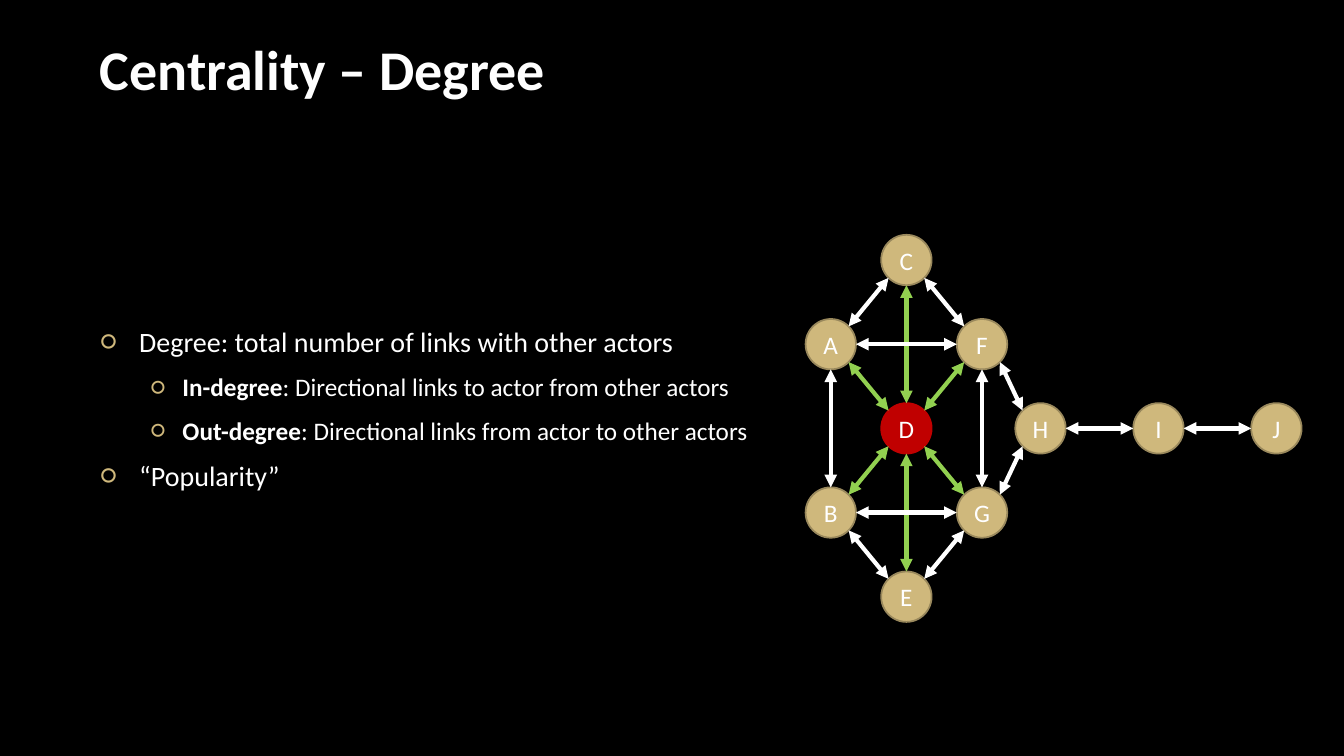
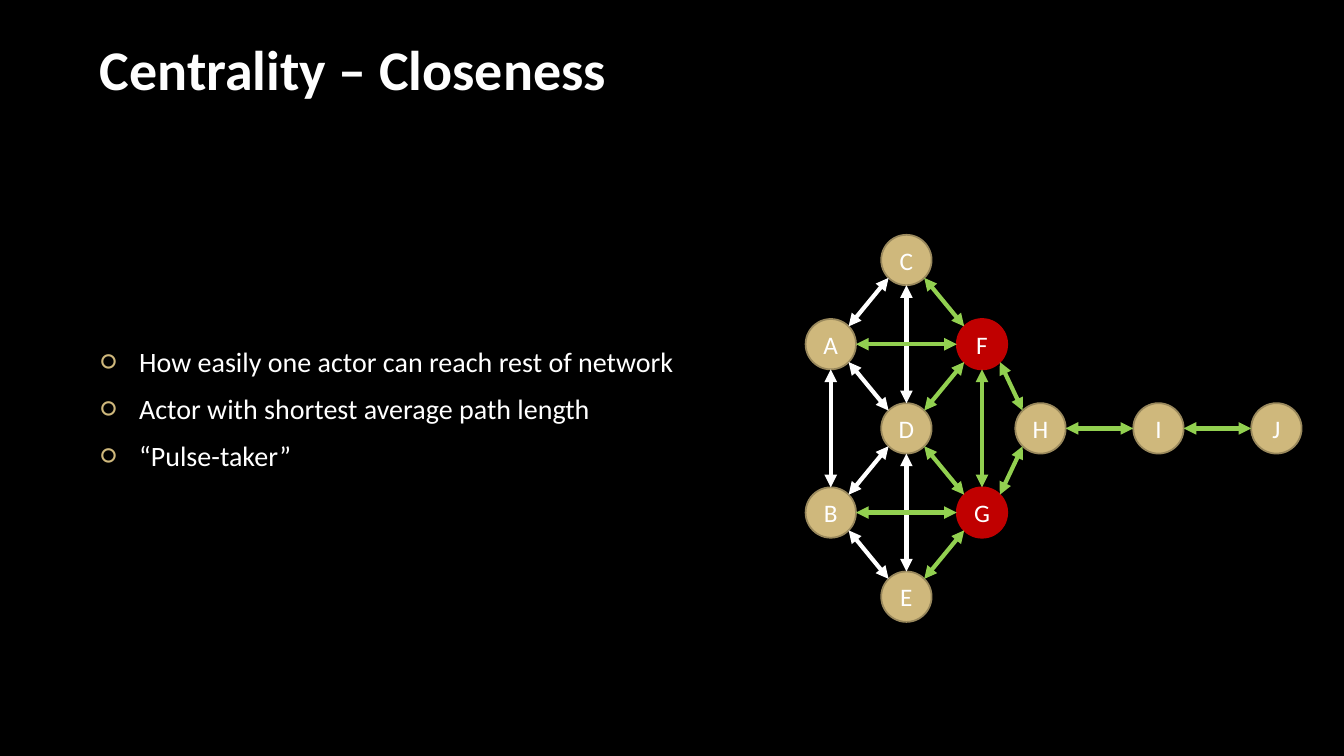
from lxml.etree import SubElement
from pptx import Presentation
from pptx.dml.color import RGBColor
from pptx.enum.shapes import MSO_CONNECTOR, MSO_SHAPE
from pptx.enum.text import MSO_ANCHOR, MSO_AUTO_SIZE, PP_ALIGN
from pptx.oxml.ns import qn
from pptx.util import Inches, Pt
from math import hypot

# Shared look
BACK, TITLE, TEXT = "000000", "FEFEFE", "FFFFFF"
GOLD, RIM, RED, GREEN = "CFB87C", "99885C", "C00000", "92D050"
FONT = "Calibri"
TITLE_BOX = (0.89, 0, 11.56, 1.06)
BODY_BOX = (0.9, 1.55, 7.02, 5)
NET_BOX = (7.99, 2.33, 4.92, 3.84)
LEVELS = [{"size": 20, "left": 0.38, "hang": 0.38},
          {"size": 18, "left": 0.81, "hang": 0.31}]

# Actors: left in inches and row number, inside the network box
SIZE = 0.5
ACTORS = {"A": (0, 1), "D": (0.75, 2), "B": (0, 3), "H": (2.08, 2),
          "I": (3.25, 2), "F": (1.5, 1), "G": (1.5, 3), "E": (0.75, 4),
          "C": (0.75, 0), "J": (4.42, 2)}
LINKS = ("CF CA DA FD DB DG DE DC EB EG HF HG IH JI AB FA FG BG").split()

SLIDES = [
    {"title": "Centrality – Degree",
     "items": [
         (0, "", "Degree: total number of links with other actors"),
         (1, "In-degree", ": Directional links to actor from other actors"),
         (1, "Out-degree", ": Directional links from actor to other actors"),
         (0, "", "“Popularity”")],
     "keys": "D", "extra": ()},
    {"title": "Centrality – Closeness",
     "items": [
         (0, "", "How easily one actor can reach rest of network"),
         (0, "", "Actor with shortest average path length"),
         (0, "", "“Pulse-taker”")],
     "keys": "FG", "extra": ("IH", "JI")},
]


def tint(text):
    return RGBColor.from_string(text)


def style(target, values):
    for name, value in values.items():
        setattr(target, name, value)


def write(para, text, size, color, bold=False):
    run = para.add_run()
    run.text = text
    style(run.font, {"name": FONT, "size": Pt(size), "bold": bold})
    run.font.color.rgb = tint(color)


def place(shape, box):
    names = ("left", "top", "width", "height")
    style(shape, dict(zip(names, map(Inches, box))))


def bullet(para, left, hang):
    props = para._p.get_or_add_pPr()
    props.set("marL", str(Inches(left)))
    props.set("indent", str(-Inches(hang)))
    color = SubElement(props, qn("a:buClr"))
    SubElement(color, qn("a:srgbClr"), val=GOLD)
    SubElement(props, qn("a:buFont"), typeface=FONT)
    SubElement(props, qn("a:buChar"), char="○")


# Title region
def head(slide, text, box):
    shape = slide.shapes.title
    place(shape, box)
    frame = shape.text_frame
    style(frame, {"vertical_anchor": MSO_ANCHOR.BOTTOM, "word_wrap": True,
                  "auto_size": MSO_AUTO_SIZE.NONE})
    para = frame.paragraphs[0]
    para.alignment = PP_ALIGN.LEFT
    write(para, text, 40, TITLE, True)


# List region
def body(slide, items, box):
    shape = slide.placeholders[1]
    place(shape, box)
    frame = shape.text_frame
    style(frame, {"vertical_anchor": MSO_ANCHOR.MIDDLE, "word_wrap": True,
                  "auto_size": MSO_AUTO_SIZE.NONE})
    for i, (level, lead, rest) in enumerate(items):
        para = frame.add_paragraph() if i else frame.paragraphs[0]
        form = LEVELS[level]
        bullet(para, form["left"], form["hang"])
        style(para, {"level": level, "space_before": Pt(3.4 if i else 0),
                     "space_after": Pt(6)})
        if lead:
            write(para, lead, form["size"], TEXT, True)
        write(para, rest, form["size"], TEXT)


def actor(group, name, spot, key):
    x, y = spot
    shape = group.shapes.add_shape(
        MSO_SHAPE.OVAL, Inches(x - SIZE / 2), Inches(y - SIZE / 2),
        Inches(SIZE), Inches(SIZE))
    shape.shadow.inherit = False
    shape.fill.solid()
    shape.fill.fore_color.rgb = tint(RED if key else GOLD)
    shape.line.color.rgb = tint(RED if key else RIM)
    shape.line.width = Pt(1.25)
    frame = shape.text_frame
    style(frame, {"margin_left": 0, "margin_right": 0, "word_wrap": False,
                  "vertical_anchor": MSO_ANCHOR.MIDDLE})
    para = frame.paragraphs[0]
    para.alignment = PP_ALIGN.CENTER
    write(para, name, 18, TEXT)


def link(group, start, end, color):
    # Leave each circle at the nearest of its eight compass points
    sx, sy = ((b > a) - (b < a) for a, b in zip(start, end))
    reach = SIZE / 2 / hypot(sx, sy)
    dx, dy = sx * reach, sy * reach
    ends = (start[0] + dx, start[1] + dy, end[0] - dx, end[1] - dy)
    line = group.shapes.add_connector(MSO_CONNECTOR.STRAIGHT,
                                      *map(Inches, ends))
    line.line.color.rgb = tint(color)
    line.line.width = Pt(3)
    stroke = line.line._get_or_add_ln()
    for tag in ("a:headEnd", "a:tailEnd"):
        SubElement(stroke, qn(tag), type="triangle")
    SubElement(line._element.spPr, qn("a:effectLst"))


# Network region
def network(slide, keys, extra, box):
    left, top, _, height = box
    step = (height - SIZE) / 4
    spots = {name: (left + x + SIZE / 2, top + row * step + SIZE / 2)
             for name, (x, row) in ACTORS.items()}
    group = slide.shapes.add_group_shape()
    for name, spot in spots.items():
        actor(group, name, spot, name in keys)
    for pair in LINKS:
        hot = pair in extra or set(pair) & set(keys)
        link(group, spots[pair[0]], spots[pair[1]], GREEN if hot else TEXT)


def main():
    deck = Presentation()
    style(deck, {"slide_width": Inches(13.33), "slide_height": Inches(7.5)})
    fill = deck.slide_master.background.fill
    fill.solid()
    fill.fore_color.rgb = tint(BACK)
    for data in SLIDES:
        slide = deck.slides.add_slide(deck.slide_layouts[1])
        head(slide, data["title"], TITLE_BOX)
        body(slide, data["items"], BODY_BOX)
        network(slide, data["keys"], data["extra"], NET_BOX)
    deck.save("out.pptx")


if __name__ == "__main__":
    main()
